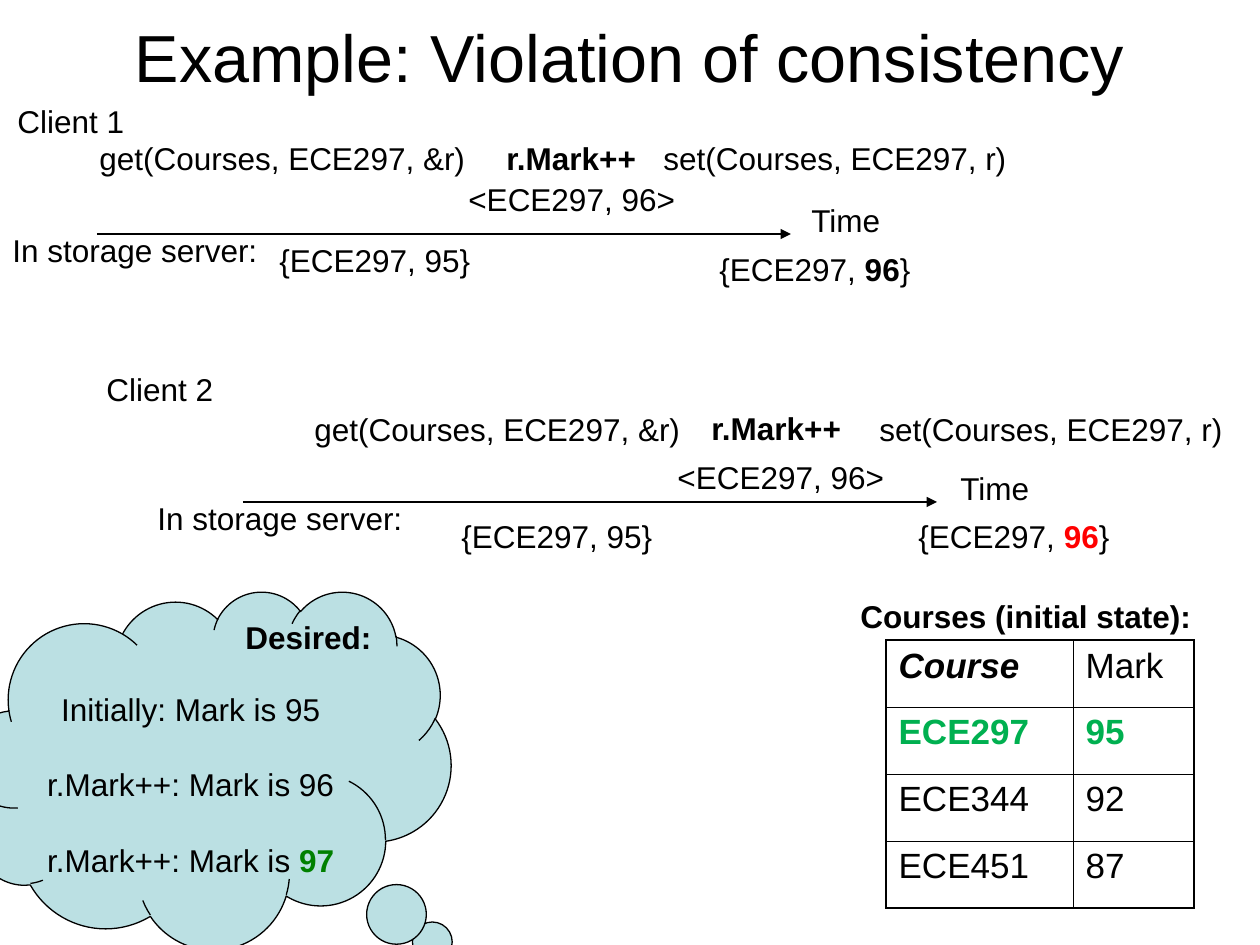
from lxml import etree
from pptx import Presentation, util as u
from pptx.dml.color import RGBColor
from pptx.enum import shapes, text
from pptx.oxml.ns import qn

PX = 914400 / 126

# Content: a text is a list of (words, style) runs
TITLE = [("Example: Violation of consistency", "title")]
GET = [("get(Courses, ECE297, &r)", "body")]
SET = [("set(Courses, ECE297, r)", "body")]
MARK = [("r.Mark++", "bold")]
RECORD = [("<ECE297, 96>", "body")]
BEFORE = [("{ECE297, 95}", "body")]
SERVER = [("In storage server:", "body")]
TIME = [("Time", "body")]


def stored(style):
    return [("{ECE297, ", "body"), ("96", style), ("}", "body")]


# Labels: left, top, width (px), runs
LABELS = [
    # Client 1
    (5, 96, 134, [("Client 1", "body")]),
    (87, 133, 393, GET), (494, 133, 158, MARK), (651, 133, 370, SET),
    (456, 174, 234, RECORD), (799, 195, 96, TIME),
    (0, 225, 272, SERVER), (267, 235, 219, BEFORE), (707, 244, 219, stored("bold")),
    # Client 2
    (94, 364, 134, [("Client 2", "body")]),
    (302, 404, 393, GET), (699, 403, 158, MARK), (867, 404, 370, SET),
    (665, 452, 234, RECORD), (948, 463, 96, TIME),
    (145, 493, 272, SERVER), (449, 511, 219, BEFORE), (906, 511, 219, stored("alert")),
    # Captions
    (848, 591, 360, [("Courses (initial state):", "bold")]),
    (233, 612, 154, [("Desired:", "bold")]),
]
ARROWS = [(97, 234), (243, 502)]
ARROW_LENGTH = 694

CLOUD_BOX = (-35, 591, 486, 358)
CLOUD_TIP = (0.503, 0.523)
CLOUD_LINES = [
    [("Initially: Mark is 95", "body")],
    [("r.Mark++: Mark is 96", "body")],
    [("r.Mark++: Mark is ", "body"), ("97", "wanted")],
]

TABLE_AT = (886, 640)
COLUMNS = (187, 121)
ROW_HEIGHT = 67
ROWS = [
    (("Course", "head"), ("Mark", "cell")),
    (("ECE297", "current"), ("95", "current")),
    (("ECE344", "cell"), ("92", "cell")),
    (("ECE451", "cell"), ("87", "cell")),
]

THEME = {
    "font": "Arial", "ink": "000000", "cloud": "BBE0E3",
    "line": 0.75, "outer": 1.08, "inner": 0.45,
    "title": dict(size=38),
    "body": dict(size=18),
    "bold": dict(size=18, bold=True),
    "alert": dict(size=18, bold=True, color="FF0000"),
    "wanted": dict(size=18, bold=True, color="008000"),
    "cell": dict(size=20),
    "head": dict(size=20, bold=True, italic=True),
    "current": dict(size=20, bold=True, color="00B050"),
}


def px(*values):
    return [u.Emu(round(v * PX)) for v in values]


def rgb(name):
    return RGBColor.from_string(THEME[name])


def assign(target, values):
    for name, value in values.items():
        setattr(target, name, value)


def write(p, runs):
    for words, style in runs:
        look = THEME[style]
        r = p.add_run()
        r.text = words
        assign(r.font, dict(name=THEME["font"], size=u.Pt(look["size"]),
                            bold=look.get("bold", False),
                            italic=look.get("italic", False)))
        r.font.color.rgb = RGBColor.from_string(look.get("color", THEME["ink"]))


def add_label(s, box, runs, **frame):
    tf = s.shapes.add_textbox(*px(*box)).text_frame
    assign(tf, frame)
    write(tf.paragraphs[0], runs)
    return tf


def add_arrow(s, x, y):
    line = s.shapes.add_connector(shapes.MSO_CONNECTOR.STRAIGHT,
                                  *px(x, y, x + ARROW_LENGTH, y))
    line.line.color.rgb = rgb("ink")
    line.line.width = u.Pt(THEME["line"])
    sp_pr = line._element.spPr
    etree.SubElement(sp_pr.get_or_add_ln(), qn("a:tailEnd"), type="triangle")
    etree.SubElement(sp_pr, qn("a:effectLst"))


def set_borders(cell, widths):
    tc_pr = cell._tc.get_or_add_tcPr()
    for i, (side, width) in enumerate(widths.items()):
        ln = etree.Element(qn("a:" + side), w=str(int(u.Pt(width))))
        fill = etree.SubElement(ln, qn("a:solidFill"))
        etree.SubElement(fill, qn("a:srgbClr"), val=THEME["ink"])
        tc_pr.insert(i, ln)


def add_grid(s):
    last_row, last_col = len(ROWS) - 1, len(COLUMNS) - 1
    size = (sum(COLUMNS), ROW_HEIGHT * len(ROWS))
    table = s.shapes.add_table(len(ROWS), len(COLUMNS), *px(*TABLE_AT, *size)).table
    assign(table, dict(first_row=False, horz_banding=False))
    for column, width in zip(table.columns, px(*COLUMNS)):
        column.width = width
    for i, row in enumerate(ROWS):
        table.rows[i].height = px(ROW_HEIGHT)[0]
        for j, run in enumerate(row):
            cell = table.cell(i, j)
            cell.fill.background()
            p = cell.text_frame.paragraphs[0]
            p.space_before = u.Pt(5)
            write(p, [run])
            edges = dict(lnL=j == 0, lnR=j == last_col, lnT=i == 0, lnB=i == last_row)
            set_borders(cell, {side: THEME["outer" if edge else "inner"]
                               for side, edge in edges.items()})


def add_cloud(s):
    sp = s.shapes.add_shape(shapes.MSO_SHAPE.CLOUD_CALLOUT, *px(*CLOUD_BOX))
    sp.shadow.inherit = False
    for i, value in enumerate(CLOUD_TIP):
        sp.adjustments[i] = value
    sp.fill.solid()
    sp.fill.fore_color.rgb = rgb("cloud")
    sp.line.color.rgb = rgb("ink")
    sp.line.width = u.Pt(THEME["line"])
    tf = sp.text_frame
    assign(tf, dict(word_wrap=True, vertical_anchor=text.MSO_ANCHOR.TOP,
                    margin_top=px(45)[0]))
    for i, runs in enumerate(CLOUD_LINES):
        p = tf.add_paragraph() if i else tf.paragraphs[0]
        p.alignment = text.PP_ALIGN.CENTER
        p.space_before = u.Pt(21.5 if i else 0)
        write(p, runs)


def main():
    prs = Presentation()
    prs.slide_width, prs.slide_height = px(1260, 945)
    s = prs.slides.add_slide(prs.slide_layouts[6])

    # Title
    tf = add_label(s, (63, -23, 1134, 158), TITLE, word_wrap=True,
                   vertical_anchor=text.MSO_ANCHOR.MIDDLE)
    tf.paragraphs[0].alignment = text.PP_ALIGN.CENTER

    # Time lines, table and cloud
    for x, y in ARROWS:
        add_arrow(s, x, y)
    add_grid(s)
    add_cloud(s)

    # Labels
    for x, y, width, runs in LABELS:
        add_label(s, (x, y, width, 50), runs, word_wrap=False,
                  auto_size=text.MSO_AUTO_SIZE.SHAPE_TO_FIT_TEXT)

    prs.save("out.pptx")


if __name__ == "__main__":
    main()
